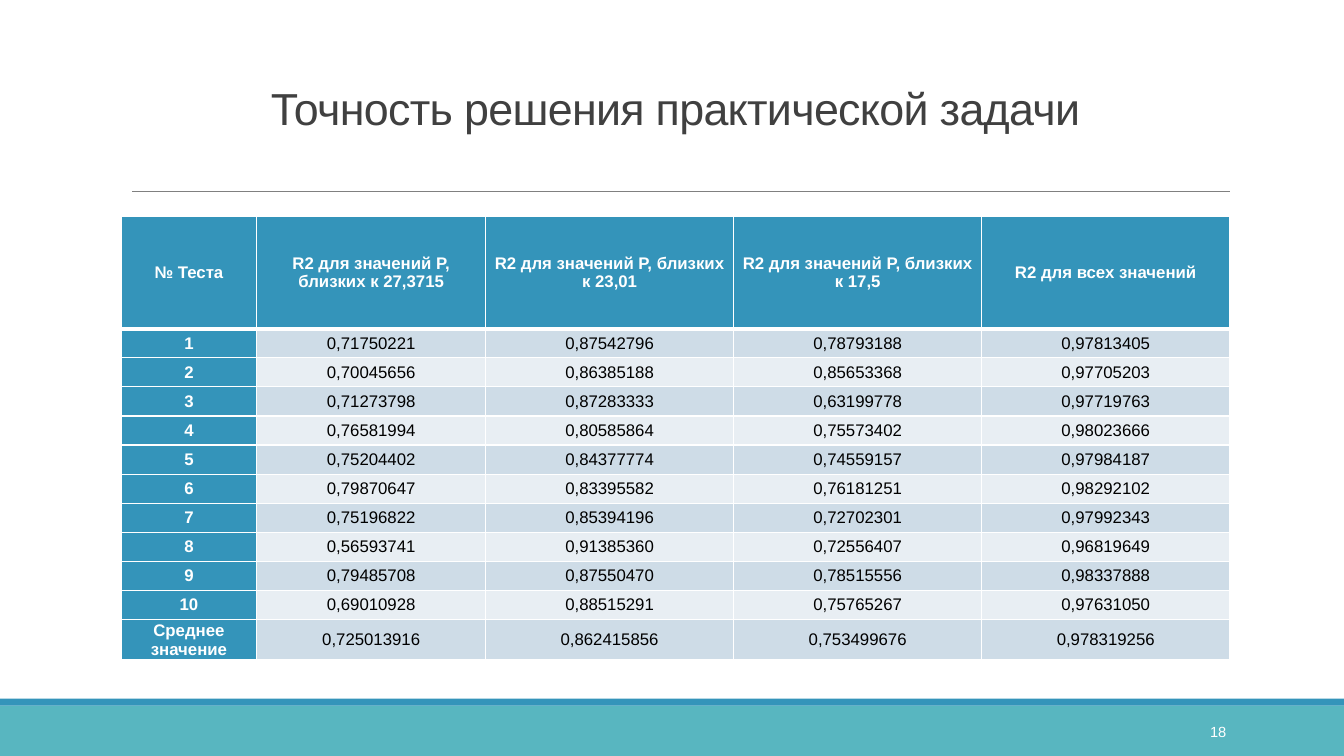
from lxml import etree
from pptx import Presentation
from pptx.dml.color import RGBColor
from pptx.enum.shapes import MSO_CONNECTOR, MSO_SHAPE
from pptx.enum.text import MSO_ANCHOR, MSO_AUTO_SIZE, PP_ALIGN
from pptx.oxml.ns import qn
from pptx.util import Pt

RECTANGLE = MSO_SHAPE.RECTANGLE
STRAIGHT = MSO_CONNECTOR.STRAIGHT
MIDDLE = MSO_ANCHOR.MIDDLE
NO_AUTOFIT = MSO_AUTO_SIZE.NONE
CENTER, RIGHT = PP_ALIGN.CENTER, PP_ALIGN.RIGHT

FONT = "Arial"
WHITE = RGBColor(0xFF, 0xFF, 0xFF)
BLACK = RGBColor(0x00, 0x00, 0x00)
DARK_GRAY = RGBColor(0x40, 0x40, 0x40)
RULE_GRAY = RGBColor(0x80, 0x80, 0x80)
BLUE = RGBColor(0x34, 0x94, 0xBA)
TEAL = RGBColor(0x58, 0xB6, 0xC0)
BAND_DARK = RGBColor(0xCE, 0xDC, 0xE7)
BAND_LIGHT = RGBColor(0xE8, 0xEE, 0xF3)

SLIDE_WIDTH, SLIDE_HEIGHT = 960, 540
COLUMN_WIDTHS = [97, 163.4, 177.2, 177.2, 177.2]
HEADER_HEIGHT, TEST_HEIGHT, AVERAGE_HEIGHT = 80, 20.8, 27

HEADER = ["№ Теста", "R2 для значений P, близких к 27,3715",
          "R2 для значений P, близких к 23,01",
          "R2 для значений P, близких к 17,5", "R2 для всех значений"]
RESULTS = [
    ["1", "0,71750221", "0,87542796", "0,78793188", "0,97813405"],
    ["2", "0,70045656", "0,86385188", "0,85653368", "0,97705203"],
    ["3", "0,71273798", "0,87283333", "0,63199778", "0,97719763"],
    ["4", "0,76581994", "0,80585864", "0,75573402", "0,98023666"],
    ["5", "0,75204402", "0,84377774", "0,74559157", "0,97984187"],
    ["6", "0,79870647", "0,83395582", "0,76181251", "0,98292102"],
    ["7", "0,75196822", "0,85394196", "0,72702301", "0,97992343"],
    ["8", "0,56593741", "0,91385360", "0,72556407", "0,96819649"],
    ["9", "0,79485708", "0,87550470", "0,78515556", "0,98337888"],
    ["10", "0,69010928", "0,88515291", "0,75765267", "0,97631050"],
    ["Среднее значение", "0,725013916", "0,862415856", "0,753499676", "0,978319256"],
]


def write_text(text_frame, text, size=12, color=BLACK, bold=False,
               align=CENTER, line_spacing=None, tracking=None):
    paragraph = text_frame.paragraphs[0]
    paragraph.alignment = align
    if line_spacing:
        paragraph.line_spacing = line_spacing
    run = paragraph.add_run()
    run.text = text
    run.font.name = FONT
    run.font.size = Pt(size)
    run.font.bold = bold
    run.font.color.rgb = color
    if tracking:
        run.font._element.set("spc", str(int(tracking * 100)))


def place(shape, left, top, width, height):
    shape.left, shape.top = Pt(left), Pt(top)
    shape.width, shape.height = Pt(width), Pt(height)


def add_bar(slide, color, left, top, width, height):
    bar = slide.shapes.add_shape(RECTANGLE, Pt(left), Pt(top), Pt(width), Pt(height))
    bar.shadow.inherit = False
    bar.fill.solid()
    bar.fill.fore_color.rgb = color
    bar.line.fill.background()


def set_borders(cell, top=1, bottom=1):
    properties = cell._tc.get_or_add_tcPr()
    sides = [("a:lnL", 1), ("a:lnR", 1), ("a:lnT", top), ("a:lnB", bottom)]
    for position, (tag, width) in enumerate(sides):
        line = etree.Element(qn(tag), w=str(Pt(width)))
        fill = etree.SubElement(line, qn("a:solidFill"))
        etree.SubElement(fill, qn("a:srgbClr"), val=str(WHITE))
        properties.insert(position, line)


def build_footer(slide, left, top, width, height):
    stripe = 5
    add_bar(slide, TEAL, left, top + stripe, width, height - stripe)
    add_bar(slide, BLUE, left, top, width, stripe)
    # Page number
    box = slide.shapes.add_textbox(Pt(left + 780), Pt(top + 9.5), Pt(103), Pt(28.8))
    box.text_frame.word_wrap = True
    box.text_frame.vertical_anchor = MIDDLE
    write_text(box.text_frame, "18", size=10.5, color=WHITE, align=RIGHT)


def build_heading(slide, left, top, width, height):
    title = slide.shapes.title
    place(title, left, top, width, height)
    title.text_frame.word_wrap = True
    title.text_frame.auto_size = NO_AUTOFIT
    title.text_frame.vertical_anchor = MIDDLE
    write_text(title.text_frame, "Точность решения практической задачи", size=32,
               color=DARK_GRAY, line_spacing=0.85, tracking=-0.5)
    # Rule under the title
    bottom = Pt(top + height)
    rule = slide.shapes.add_connector(STRAIGHT, Pt(left + 8), bottom,
                                      Pt(left + width), bottom)
    rule.line.color.rgb = RULE_GRAY
    rule.line.width = Pt(0.5)
    etree.SubElement(rule._element.spPr, qn("a:effectLst"))


def build_results_table(slide, left, top, width, height):
    rows = [HEADER] + RESULTS
    table = slide.shapes.add_table(len(rows), len(HEADER), Pt(left), Pt(top),
                                   Pt(width), Pt(height)).table
    table.first_col = True
    for column, column_width in zip(table.columns, COLUMN_WIDTHS):
        column.width = Pt(column_width)
    heights = [HEADER_HEIGHT] + [TEST_HEIGHT] * (len(rows) - 2) + [AVERAGE_HEIGHT]

    for row_index, (values, row_height) in enumerate(zip(rows, heights)):
        table.rows[row_index].height = Pt(row_height)
        band = BAND_DARK if row_index % 2 else BAND_LIGHT
        for column_index, value in enumerate(values):
            is_heading = row_index == 0 or column_index == 0
            cell = table.cell(row_index, column_index)
            cell.margin_left = cell.margin_right = Pt(5)
            cell.margin_top = cell.margin_bottom = Pt(0)
            cell.vertical_anchor = MIDDLE
            cell.fill.solid()
            cell.fill.fore_color.rgb = BLUE if is_heading else band
            set_borders(cell, top=3 if row_index == 1 else 1,
                        bottom=3 if row_index == 0 else 1)
            write_text(cell.text_frame, value, bold=is_heading,
                       color=WHITE if is_heading else BLACK)


def main():
    presentation = Presentation()
    presentation.slide_width = Pt(SLIDE_WIDTH)
    presentation.slide_height = Pt(SLIDE_HEIGHT)
    title_only = presentation.slide_layouts[5]
    slide = presentation.slides.add_slide(title_only)
    build_footer(slide, 0, 499, SLIDE_WIDTH, 41)
    build_heading(slide, 86.5, 22.5, 792, 114)
    build_results_table(slide, 86.5, 154.8, sum(COLUMN_WIDTHS), 315)
    presentation.save("out.pptx")


if __name__ == "__main__":
    main()
